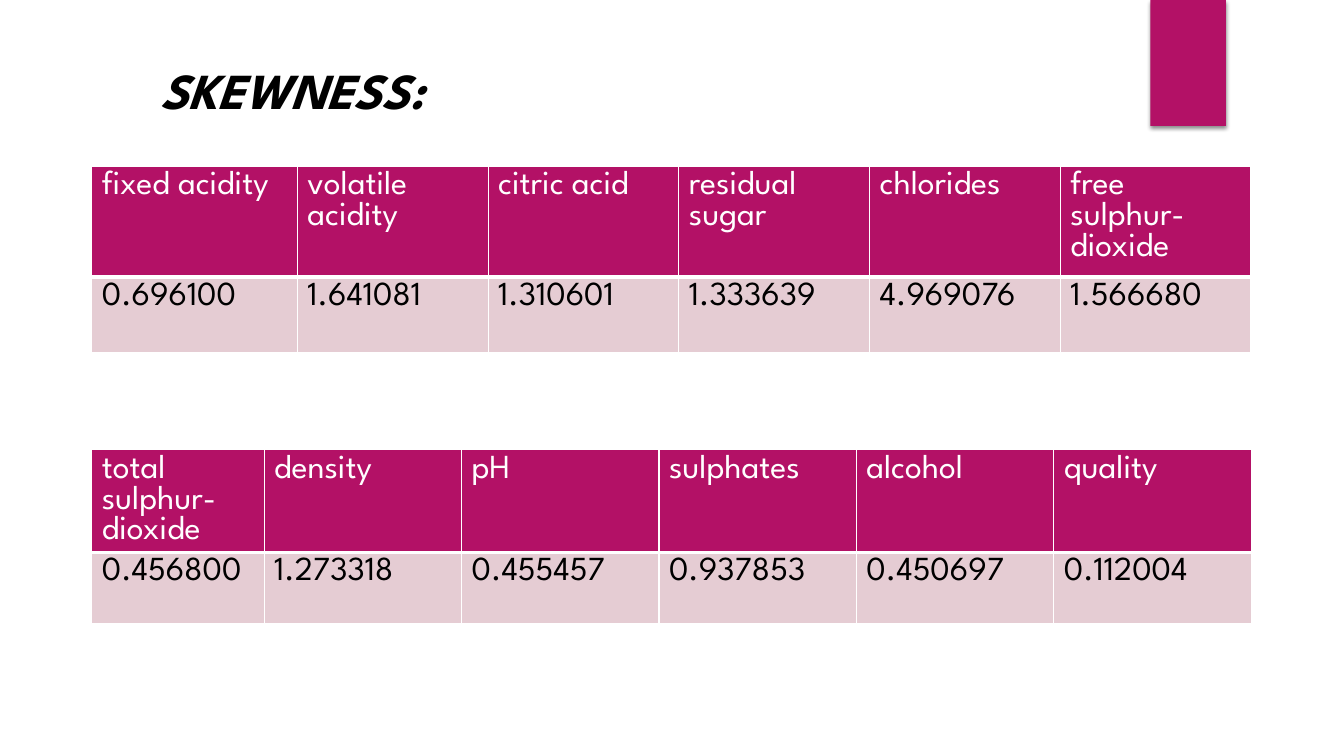
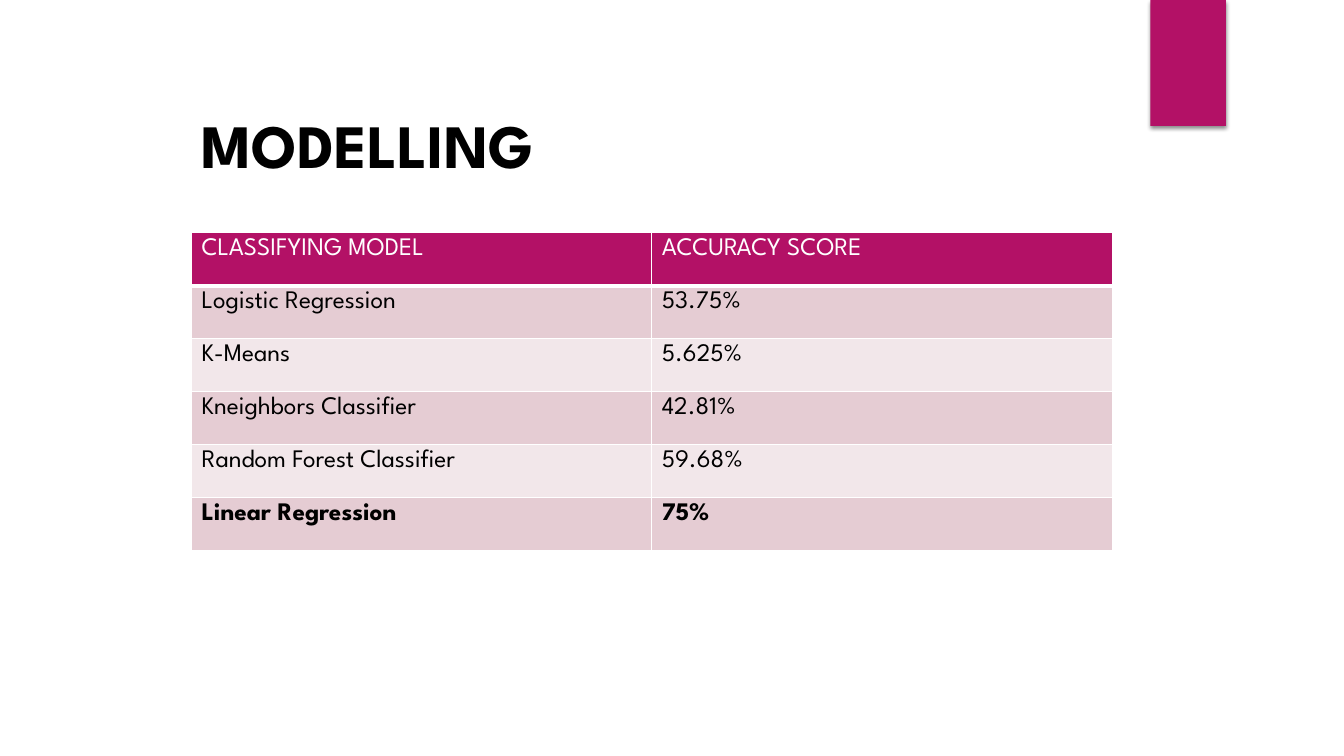
from dataclasses import dataclass

from lxml.etree import SubElement
from pptx import Presentation
from pptx.dml.color import RGBColor as Color
from pptx.enum.shapes import MSO_SHAPE as Preset
from pptx.enum.text import MSO_AUTO_SIZE as AutoSize
from pptx.oxml.ns import qn
from pptx.util import Inches, Pt


@dataclass(frozen=True)
class Theme:
    font: str = "League Spartan"
    accent: str = "B31166"
    band_dark: str = "E5CCD3"
    band_light: str = "F2E7EA"
    white: str = "FFFFFF"
    black: str = "000000"
    title_size: int = 44
    small_title_size: int = 36
    large_cell_size: int = 24
    cell_size: int = 18
    rule: int = 1
    header_rule: int = 3


THEME = Theme()


def write_text(frame, text, size, color=THEME.black, bold=False, italic=False):
    paragraph = frame.paragraphs[0]
    run = paragraph.add_run()
    run.text = text
    font = run.font
    font.name = THEME.font
    font.size = Pt(size)
    font.bold = bold
    font.italic = italic
    font.color.rgb = Color.from_string(color)


def set_fill(fill, color):
    fill.solid()
    fill.fore_color.rgb = Color.from_string(color)


def add_color(parent, color):
    fill = SubElement(parent, qn("a:solidFill"))
    SubElement(fill, qn("a:srgbClr"), val=color)


def add_borders(cell, bottom):
    properties = cell._tc.get_or_add_tcPr()
    widths = {"lnL": THEME.rule, "lnR": THEME.rule, "lnT": THEME.rule, "lnB": bottom}
    for side, width in widths.items():
        line = SubElement(properties, qn(f"a:{side}"), w=str(Pt(width)))
        add_color(line, THEME.white)


def add_shadow(shape):
    shape.shadow.inherit = False
    effects = shape._element.spPr.find(qn("a:effectLst"))
    shadow = SubElement(
        effects, qn("a:outerShdw"), blurRad=str(Pt(3)), dist=str(Pt(2)),
        dir=str(90 * 60000), rotWithShape="0",
    )
    color = SubElement(shadow, qn("a:srgbClr"), val=THEME.black)
    SubElement(color, qn("a:alpha"), val="45000")


def add_tab(slide, left, top, width, height):
    shape = slide.shapes.add_shape(
        Preset.RECTANGLE, Inches(left), Inches(top), Inches(width), Inches(height)
    )
    set_fill(shape.fill, THEME.accent)
    shape.line.fill.background()
    add_shadow(shape)


def add_title(slide, box, text, size, italic=False):
    shape = slide.shapes.add_textbox(*map(Inches, box))
    frame = shape.text_frame
    frame.word_wrap = True
    frame.auto_size = AutoSize.SHAPE_TO_FIT_TEXT
    write_text(frame, text, size, bold=True, italic=italic)


def add_table(slide, box, rows, size, first_column, row_heights, bold_last=False):
    left, top, width = box
    column_count = len(rows[0])
    table = slide.shapes.add_table(
        len(rows), column_count, Inches(left), Inches(top),
        Inches(width), Inches(sum(row_heights)),
    ).table
    other_column = (width - first_column) / (column_count - 1)
    for index, column in enumerate(table.columns):
        column.width = Inches(other_column if index else first_column)
    for index, values in enumerate(rows):
        table.rows[index].height = Inches(row_heights[index])
        is_header = index == 0
        band = THEME.band_dark if index % 2 else THEME.band_light
        bold = bold_last and index == len(rows) - 1
        for cell, value in zip(table.rows[index].cells, values):
            add_borders(cell, THEME.header_rule if is_header else THEME.rule)
            set_fill(cell.fill, THEME.accent if is_header else band)
            color = THEME.white if is_header else THEME.black
            write_text(cell.text_frame, value, size, color=color, bold=bold)


def add_base_slide(presentation):
    slide = presentation.slides.add_slide(presentation.slide_layouts[6])
    add_tab(slide, 11.41, 0, 0.75, 1.25)
    return slide


def build_skewness(presentation):
    slide = add_base_slide(presentation)
    first_features = [
        ["fixed acidity", "volatile acidity", "citric acid",
         "residual sugar", "chlorides", "free sulphur- dioxide"],
        ["0.696100", "1.641081", "1.310601", "1.333639", "4.969076", "1.566680"],
    ]
    second_features = [
        ["total sulphur- dioxide", "density", "pH", "sulphates", "alcohol", "quality"],
        ["0.456800", "1.273318", "0.455457", "0.937853", "0.450697", "0.112004"],
    ]
    left, width = 0.91, 11.5
    add_table(slide, (left, 1.65, width), first_features,
              THEME.large_cell_size, 2.04, [1.1, 0.75])
    add_table(slide, (left, 4.46, width), second_features,
              THEME.large_cell_size, 1.71, [1.02, 0.71])
    add_title(slide, (1.49, 0.54, 7.38, 0.71), "SKEWNESS:",
              THEME.small_title_size, italic=True)


def build_modelling(presentation):
    slide = add_base_slide(presentation)
    scores = [
        ["CLASSIFYING MODEL", "ACCURACY SCORE"],
        ["Logistic Regression", "53.75%"],
        ["K-Means", "5.625%"],
        ["Kneighbors Classifier", "42.81%"],
        ["Random Forest Classifier", "59.68%"],
        ["Linear Regression", "75%"],
    ]
    left, width, height = 1.9, 9.13, 3.15
    row_heights = [height / len(scores)] * len(scores)
    add_table(slide, (left, 2.31, width), scores, THEME.cell_size,
              width / 2, row_heights, bold_last=True)
    add_title(slide, (left, 1.01, 8.06, 0.84), "MODELLING", THEME.title_size)


def main():
    presentation = Presentation()
    presentation.slide_width = Inches(13.33)
    presentation.slide_height = Inches(7.5)
    build_skewness(presentation)
    build_modelling(presentation)
    presentation.save("out.pptx")


if __name__ == "__main__":
    main()
